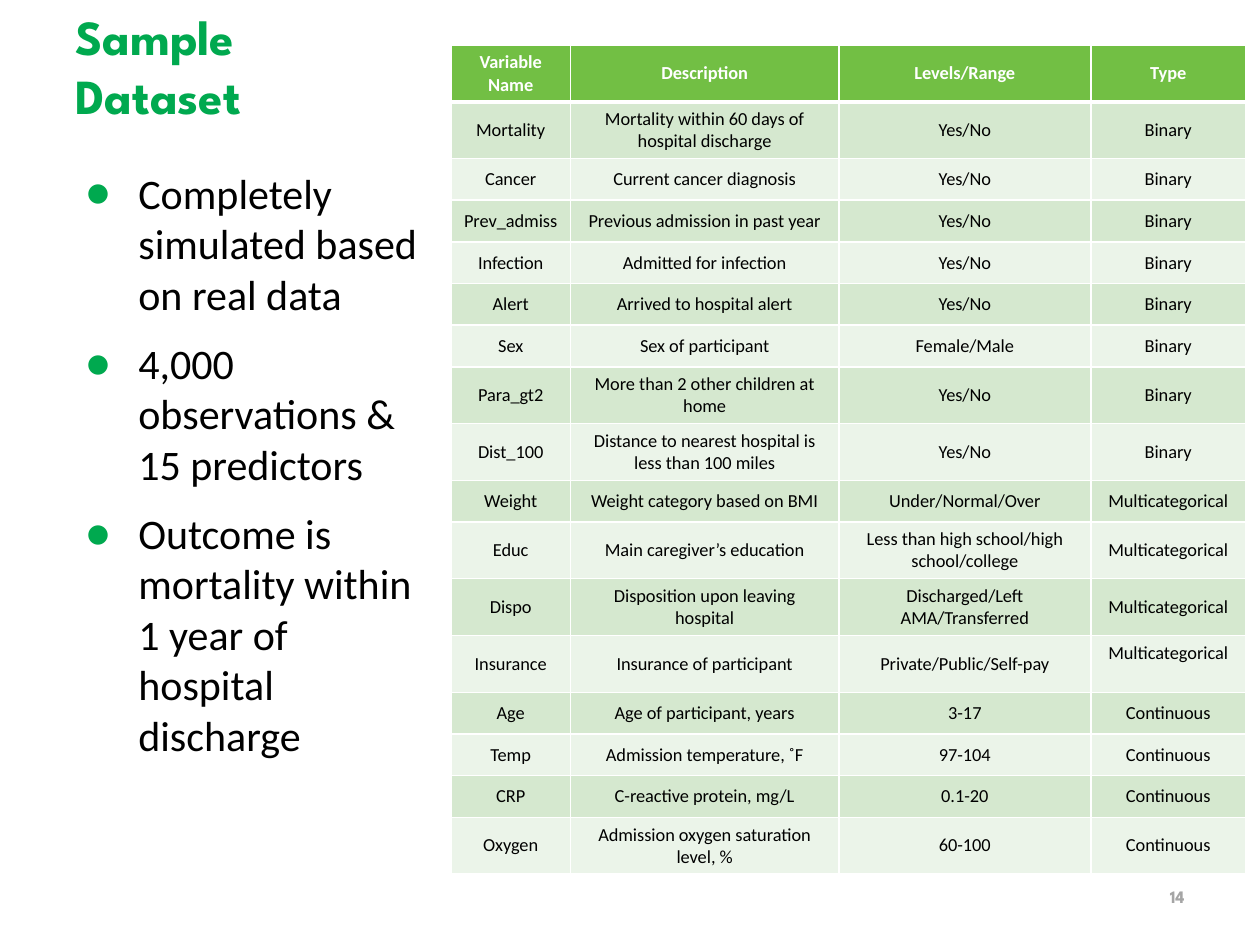
from typing import NamedTuple

from lxml.etree import SubElement
from pptx import Presentation
from pptx.dml.color import RGBColor as RGB
from pptx.enum.text import MSO_ANCHOR as ANCHOR, MSO_AUTO_SIZE as AUTO, PP_ALIGN as ALIGN
from pptx.oxml.ns import qn
from pptx.util import Cm, Pt

COLORS = {
    "green": "00A94F", "header": "72BF44", "band": "D5E8CF", "pale": "EBF4E9",
    "white": "FFFFFF", "black": "000000", "gray": "A5A5A5",
}
BODY_FONT, TITLE_FONT = "Calibri", "League Spartan"
COL_WIDTHS = (2.41, 5.41, 5.08, 3.12)
ROW_HEIGHT, TALL_ROW = 0.84, 1.15
HEADINGS = ("Variable Name", "Description", "Levels/Range", "Type")
BULLETS = (
    "Completely simulated based on real data",
    "4,000 observations & 15 predictors",
    "Outcome is mortality within 1 year of hospital discharge",
)


class Variable(NamedTuple):
    """One variable of the sample dataset."""
    name: str
    description: str
    levels: str = "Yes/No"
    kind: str = "Binary"


MULTI, CONT = "Multicategorical", "Continuous"
VARIABLES = (
    Variable("Mortality", "Mortality within 60 days of hospital discharge"),
    Variable("Cancer", "Current cancer diagnosis"),
    Variable("Prev_admiss", "Previous admission in past year"),
    Variable("Infection", "Admitted for infection"),
    Variable("Alert", "Arrived to hospital alert"),
    Variable("Sex", "Sex of participant", "Female/Male"),
    Variable("Para_gt2", "More than 2 other children at home"),
    Variable("Dist_100", "Distance to nearest hospital is less than 100 miles"),
    Variable("Weight", "Weight category based on BMI", "Under/Normal/Over", MULTI),
    Variable("Educ", "Main caregiver’s education", "Less than high school/high school/college", MULTI),
    Variable("Dispo", "Disposition upon leaving hospital", "Discharged/Left AMA/Transferred", MULTI),
    Variable("Insurance", "Insurance of participant", "Private/Public/Self-pay", MULTI),
    Variable("Age", "Age of participant, years", "3-17", CONT),
    Variable("Temp", "Admission temperature, ˚F", "97-104", CONT),
    Variable("CRP", "C-reactive protein, mg/L", "0.1-20", CONT),
    Variable("Oxygen", "Admission oxygen saturation level, %", "60-100", CONT),
)


def add_run(p, text: str, size: float, font: str, color: str, bold: bool = False) -> None:
    """Add one formatted run to a paragraph."""
    r = p.add_run()
    r.text = text
    r.font.size, r.font.name, r.font.bold = Pt(size), font, bold
    r.font.color.rgb = RGB.from_string(COLORS[color])


def place(sp, left: float, top: float, width: float, height: float) -> None:
    """Position a shape, in centimetres."""
    sp.left, sp.top, sp.width, sp.height = Cm(left), Cm(top), Cm(width), Cm(height)


def add_box(s, left: float, top: float, width: float, height: float):
    """Add a wrapping text box and return its text frame."""
    tf = s.shapes.add_textbox(Cm(left), Cm(top), Cm(width), Cm(height)).text_frame
    tf.word_wrap = True
    return tf


def set_bullet(p) -> None:
    """Give a paragraph a green round bullet with a hanging indent."""
    pPr = p._p.get_or_add_pPr()
    pPr.set("marL", str(Cm(1.27)))
    pPr.set("indent", str(-Cm(1.07)))
    SubElement(SubElement(pPr, qn("a:buClr")), qn("a:srgbClr"), val=COLORS["green"])
    SubElement(pPr, qn("a:buFont"), typeface=BODY_FONT)
    SubElement(pPr, qn("a:buChar"), char="●")


def set_borders(cell, top: float, bottom: float) -> None:
    """Draw white borders around a table cell, in points."""
    tcPr = cell._tc.get_or_add_tcPr()
    for side, width in (("L", 1), ("R", 1), ("T", top), ("B", bottom)):
        ln = SubElement(tcPr, qn(f"a:ln{side}"), w=str(Pt(width)))
        SubElement(SubElement(ln, qn("a:solidFill")), qn("a:srgbClr"), val=COLORS["white"])


def add_title(s) -> None:
    """Format the title placeholder."""
    sp = s.shapes.title
    place(sp, 1.27, 0.43, 22.86, 2.21)
    tf = sp.text_frame
    tf.auto_size, tf.vertical_anchor = AUTO.NONE, ANCHOR.BOTTOM
    p = tf.paragraphs[0]
    p.alignment = ALIGN.LEFT
    add_run(p, "Sample", 28, TITLE_FONT, "green", True)
    p.add_line_break()
    add_run(p, "Dataset", 28, TITLE_FONT, "green", True)


def add_bullets(s) -> None:
    """Add the bullet list on the left."""
    tf = add_box(s, 1.27, 3.25, 7.62, 14.1)
    for i, text in enumerate(BULLETS):
        p = tf.add_paragraph() if i else tf.paragraphs[0]
        set_bullet(p)
        p.space_before, p.space_after = Pt(4.8 if i else 0), Pt(6)
        add_run(p, text, 24, BODY_FONT, "black")


def add_variable_table(s) -> None:
    """Add the banded table of variables."""
    rows = (HEADINGS, *VARIABLES)
    frame = s.shapes.add_table(
        len(rows), len(COL_WIDTHS), Cm(9.09), Cm(0.91), Cm(sum(COL_WIDTHS)), Cm(16.66))
    table = frame.table
    for col, width in zip(table.columns, COL_WIDTHS):
        col.width = Cm(width)
    for i, row in enumerate(rows):
        insurance = row[0] == "Insurance"
        table.rows[i].height = Cm(TALL_ROW if insurance else ROW_HEIGHT)
        fill = "header" if i == 0 else "band" if i % 2 else "pale"
        for j, text in enumerate(row):
            cell = table.cell(i, j)
            set_borders(cell, 3 if i == 1 else 1, 3 if i == 0 else 1)
            cell.fill.solid()
            cell.fill.fore_color.rgb = RGB.from_string(COLORS[fill])
            cell.vertical_anchor = ANCHOR.TOP if insurance and j == 3 else ANCHOR.MIDDLE
            p = cell.text_frame.paragraphs[0]
            p.alignment = ALIGN.CENTER
            add_run(p, text, 10.5, BODY_FONT, "black" if i else "white", i == 0)
    frame.height = Cm(16.66)


def add_page_number(s) -> None:
    """Add the page number at the lower right."""
    p = add_box(s, 22.02, 17.73, 2.11, 0.69).paragraphs[0]
    p.alignment = ALIGN.RIGHT
    add_run(p, "14", 10, TITLE_FONT, "gray", True)


def main() -> None:
    """Build and save the slide."""
    prs = Presentation()
    prs.slide_width, prs.slide_height = Cm(25.4), Cm(19.05)
    s = prs.slides.add_slide(prs.slide_layouts[5])
    add_page_number(s)
    add_title(s)
    add_bullets(s)
    add_variable_table(s)
    prs.save("out.pptx")


if __name__ == "__main__":
    main()
